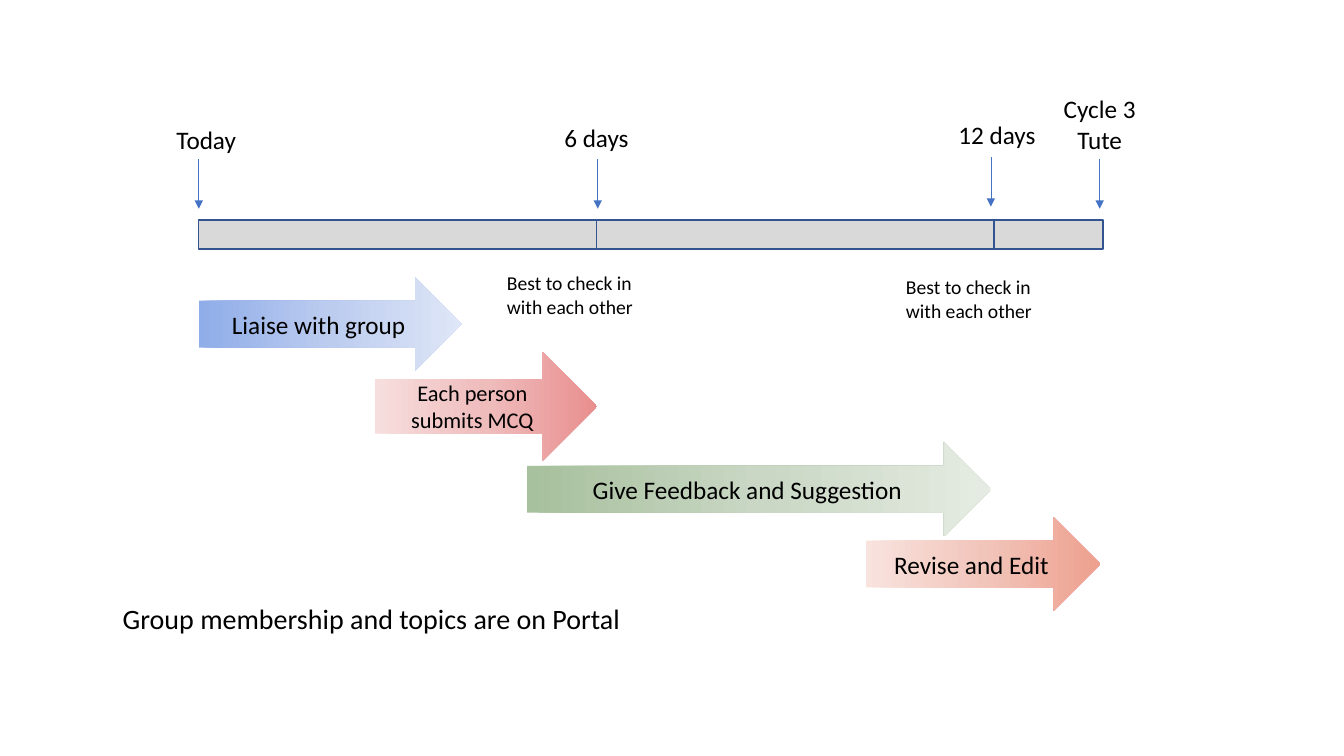
from copy import deepcopy

from lxml import etree
from pptx import Presentation
from pptx.dml.color import RGBColor
from pptx.enum.shapes import MSO_CONNECTOR, MSO_SHAPE
from pptx.enum.text import MSO_ANCHOR, PP_ALIGN
from pptx.oxml.ns import qn
from pptx.util import Pt

RECTANGLE, RIGHT_ARROW = MSO_SHAPE.RECTANGLE, MSO_SHAPE.RIGHT_ARROW
STRAIGHT = MSO_CONNECTOR.STRAIGHT
MIDDLE, TOP = MSO_ANCHOR.MIDDLE, MSO_ANCHOR.TOP
CENTER, LEFT = PP_ALIGN.CENTER, PP_ALIGN.LEFT

FONT = "Calibri"
BLACK = RGBColor(0x00, 0x00, 0x00)
BAR_FILL = RGBColor(0xD9, 0xD9, 0xD9)
BAR_LINE = RGBColor(0x32, 0x54, 0x91)
MARKER_BLUE = RGBColor(0x44, 0x72, 0xC4)
BLUES = RGBColor(0x8F, 0xAD, 0xE9), RGBColor(0xBC, 0xCC, 0xEF), RGBColor(0xDE, 0xE6, 0xF7)
REDS = RGBColor(0xF7, 0xDE, 0xDE), RGBColor(0xEF, 0xBC, 0xBC), RGBColor(0xE9, 0x8F, 0x8F)
GREENS = RGBColor(0xA7, 0xC0, 0x9D), RGBColor(0xC9, 0xD7, 0xC4), RGBColor(0xE5, 0xEB, 0xE2)
ORANGES = RGBColor(0xF8, 0xE3, 0xDE), RGBColor(0xF2, 0xC5, 0xBB), RGBColor(0xED, 0xA0, 0x8E)

BAR_TOP, BAR_HEIGHT = 157, 21
BAR_EDGES = 142, 426, 710, 788
MARKER_LENGTH = 35.3
MARKERS = [
    ("Today", 142, 113.8, (119, 85, 57.6, 28.8)),
    ("6 days", 427, 113.8, (396, 83.5, 61.2, 28.8)),
    ("12 days", 707.8, 112.3, (677.5, 82, 70.6, 28.8)),
    ("Cycle 3\nTute", 785.5, 113.8, (752.4, 63.4, 66.2, 51)),
]
STAGES = [
    ("Liaise with group", 18, BLUES, (142, 198, 188, 67)),
    ("Each person submits MCQ", 16, REDS, (268, 251.3, 158.4, 78)),
    ("Give Feedback and Suggestion", 18, GREENS, (376.6, 316, 331.2, 67)),
    ("Revise and Edit", 18, ORANGES, (618.5, 369.4, 167.5, 67)),
]
CHECK_IN = "Best to check in with each other"
CHECK_IN_BOXES = [(355, 190, 107.3, 41), (640, 193, 107.3, 41)]


def write_text(tf, text, size, align, anchor, wrap):
    """Fill a text frame with lines in the slide's font."""
    tf.text = text
    tf.word_wrap = wrap
    tf.vertical_anchor = anchor
    for p in tf.paragraphs:
        p.alignment = align
        for r in p.runs:
            r.font.name, r.font.size, r.font.color.rgb = FONT, Pt(size), BLACK


def add_label(slide, box, text, size, align=LEFT, wrap=False):
    """Add a plain text box."""
    sp = slide.shapes.add_textbox(*map(Pt, box))
    write_text(sp.text_frame, text, size, align, TOP, wrap)


def add_bar(slide, edges, top, height):
    """Add the timeline bar, one segment between each pair of edges."""
    for left, right in zip(edges, edges[1:]):
        sp = slide.shapes.add_shape(RECTANGLE, Pt(left), Pt(top), Pt(right - left), Pt(height))
        sp.shadow.inherit = False
        sp.fill.solid()
        sp.fill.fore_color.rgb = BAR_FILL
        sp.line.color.rgb = BAR_LINE
        sp.line.width = Pt(1)


def add_marker(slide, text, x, top, box):
    """Add a date label and the arrow from it down to the bar."""
    add_label(slide, box, text, 18, CENTER if "\n" in text else LEFT)
    arrow = slide.shapes.add_connector(STRAIGHT, Pt(x), Pt(top), Pt(x), Pt(top + MARKER_LENGTH))
    arrow.line.color.rgb = MARKER_BLUE
    arrow.line.width = Pt(0.5)
    etree.SubElement(arrow.line._get_or_add_ln(), qn("a:tailEnd"), type="triangle")
    etree.SubElement(arrow._element.spPr, qn("a:effectLst"))


def fill_gradient(sp, colors):
    """Fill a shape from left to right with evenly spaced colours."""
    sp.fill.gradient()
    sp.fill.gradient_angle = 0
    stop_list = sp._element.spPr.find(qn("a:gradFill")).find(qn("a:gsLst"))
    while len(stop_list) < len(colors):
        stop_list.append(deepcopy(stop_list[0]))
    for i, (stop, color) in enumerate(zip(sp.fill.gradient_stops, colors)):
        stop.position = i / (len(colors) - 1)
        stop.color.rgb = color


def add_stage(slide, text, size, colors, box):
    """Add a block arrow for one stage of the work."""
    sp = slide.shapes.add_shape(RIGHT_ARROW, *map(Pt, box))
    sp.shadow.inherit = False
    sp.line.fill.background()
    fill_gradient(sp, colors)
    write_text(sp.text_frame, text, size, CENTER, MIDDLE, True)


def main():
    """Build the timeline slide and save it."""
    prs = Presentation()
    prs.slide_width, prs.slide_height = Pt(960), Pt(540)
    slide = prs.slides.add_slide(prs.slide_layouts[6])
    add_bar(slide, BAR_EDGES, BAR_TOP, BAR_HEIGHT)
    for marker in MARKERS:
        add_marker(slide, *marker)
    for stage in STAGES:
        add_stage(slide, *stage)
    add_label(slide, (80.6, 426.2, 381.6, 31.5), "Group membership and topics are on Portal", 20)
    for box in CHECK_IN_BOXES:
        add_label(slide, box, CHECK_IN, 14, wrap=True)
    prs.save("out.pptx")


if __name__ == "__main__":
    main()
